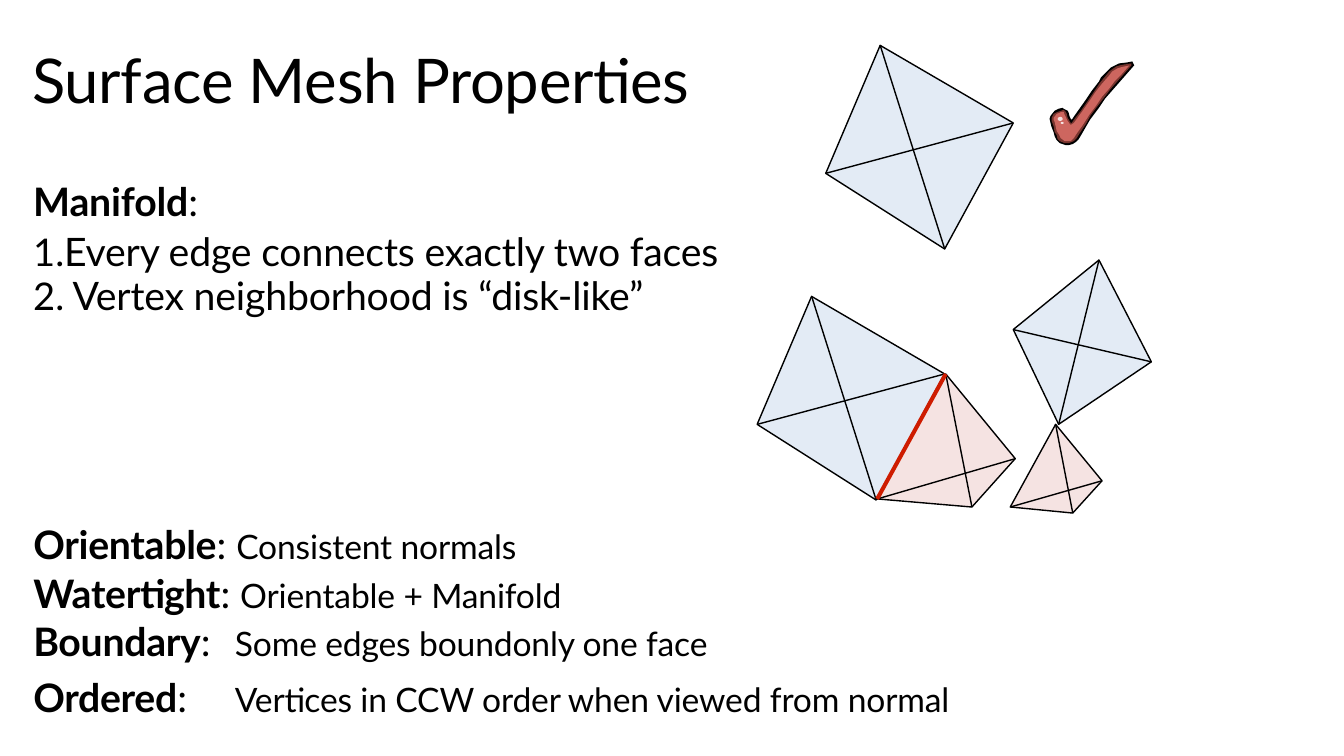
import pptx
import pptx.dml.color
import pptx.enum.shapes
import pptx.enum.text
import pptx.oxml.ns
import pptx.util
from lxml import etree

PX = 9144  # EMU, one hundred px to the inch
FONT = "Lato"
BLACK, BLUE, PINK, RED = "000000", "E3EBF5", "F5E3E2", "CE1C00"
BROWN, CORAL = "77342E", "CD665F"

# Corners run left, top, right, bottom.
WIDE_QUAD = [(0, 127), (54, 0), (186, 77), (118, 202)]
TURNED_QUAD = [(0, 69), (85, 0), (137, 101), (45, 163)]
KITE = [(0, 124), (68, 0), (137, 84), (94, 132)]
MESHES = [
    ((751, 294, 186), WIDE_QUAD, BLUE),
    ((819, 45, 186), WIDE_QUAD, BLUE),
    ((870, 371, 137), KITE, PINK),
    ((1005, 258, 137), TURNED_QUAD, BLUE),
    ((1002, 421, 91), KITE, PINK),
]
SHARED_EDGE = ((938, 371), (870, 495))

CHECK_RIM = [
    (13, 46), (9, 47), (5, 49), (1, 54), (0, 57), (1, 61), (2, 65), (4, 70), (5, 74),
    (7, 78), (10, 81), (13, 82), (16, 83), (19, 83), (23, 82), (26, 80), (29, 77),
    (32, 72), (36, 65), (40, 58), (43, 54), (49, 46), (55, 37), (62, 29), (69, 21),
    (76, 13), (83, 5), (84, 4), (82, 0), (77, 1), (69, 2), (65, 4), (61, 6), (58, 9),
    (54, 13), (51, 16), (49, 20), (42, 29), (36, 38), (24, 55), (22, 58), (21, 57),
    (20, 55), (19, 51), (18, 49), (14, 47)]
CHECK_SHADE = [
    (14, 48), (11, 49), (8, 50), (4, 52), (2, 56), (2, 59), (4, 64), (5, 70), (7, 73),
    (8, 77), (10, 79), (15, 81), (19, 81), (24, 79), (27, 76), (30, 71), (36, 62),
    (41, 53), (47, 45), (54, 36), (60, 28), (67, 20), (74, 12), (81, 4), (81, 2),
    (74, 3), (69, 4), (66, 5), (59, 10), (55, 15), (50, 21), (44, 30), (38, 39),
    (31, 49), (27, 54), (24, 58), (22, 61), (21, 61), (18, 56), (17, 52), (16, 50)]
CHECK_BODY = [
    (14, 50), (12, 50), (7, 52), (4, 56), (4, 58), (5, 60), (6, 64), (7, 69), (9, 72),
    (11, 76), (15, 79), (21, 79), (24, 76), (28, 70), (33, 63), (40, 52), (46, 44),
    (52, 35), (59, 27), (65, 19), (72, 12), (79, 4), (74, 5), (70, 6), (67, 7),
    (62, 10), (59, 14), (52, 22), (45, 31), (39, 40), (32, 50), (29, 54), (27, 57),
    (24, 61), (21, 63), (20, 62), (18, 59), (15, 53)]
CHECK_GLINTS = [(8, 55, 5, 4), (11, 60, 3, 2)]


def px(*lengths):
    return [round(length * PX) for length in lengths]


def color(hex_string):
    return pptx.dml.color.RGBColor.from_string(hex_string)


def paint(shape, fill, outlined=False):
    shape.shadow.inherit = False
    shape.fill.solid()
    shape.fill.fore_color.rgb = color(fill)
    if outlined:
        shape.line.color.rgb = color(BLACK)
        shape.line.width = pptx.util.Pt(1)
    else:
        shape.line.fill.background()


def add_outline(slide, points, fill, outlined=False):
    builder = slide.shapes.build_freeform(*points[0], scale=PX)
    builder.add_line_segments(points[1:], close=True)
    paint(builder.convert_to_shape(), fill, outlined)


def add_edge(slide, start, end, stroke=BLACK, width=1):
    edge = slide.shapes.add_connector(
        pptx.enum.shapes.MSO_CONNECTOR.STRAIGHT, *px(*start, *end))
    edge.line.color.rgb = color(stroke)
    edge.line.width = pptx.util.Pt(width)
    etree.SubElement(edge._element.spPr, pptx.oxml.ns.qn("a:effectLst"))


def add_mesh(slide, box, corners, fill):
    """Draw a four-cornered patch with both diagonals, scaled to the box width."""
    x, y, width = box
    scale = width / corners[2][0]
    points = [(round(x + dx * scale), round(y + dy * scale)) for dx, dy in corners]
    left, top, right, bottom = points
    add_outline(slide, points, fill, outlined=True)
    add_edge(slide, bottom, top)
    add_edge(slide, right, left)


def add_check(slide, x, y):
    for points, fill in ((CHECK_RIM, BLACK), (CHECK_SHADE, BROWN), (CHECK_BODY, CORAL)):
        add_outline(slide, [(x + dx, y + dy) for dx, dy in points], fill)
    for dx, dy, width, height in CHECK_GLINTS:
        glint = slide.shapes.add_shape(
            pptx.enum.shapes.MSO_SHAPE.OVAL, *px(x + dx, y + dy, width, height))
        paint(glint, PINK)


def add_span(para, text, size, bold=False, tracking=-10):
    span = para.add_run()
    span.text = text
    span.font.name = FONT
    span.font.size = pptx.util.Pt(size)
    span.font.bold = bold
    span.font.color.rgb = color(BLACK)
    span._r.get_or_add_rPr().set("spc", str(tracking))


def place_frame(shape, box):
    shape.left, shape.top, shape.width, shape.height = px(*box)
    frame = shape.text_frame
    frame.word_wrap = True
    frame.auto_size = pptx.enum.text.MSO_AUTO_SIZE.NONE
    frame.margin_left = frame.margin_right = frame.margin_bottom = 0
    frame.margin_top = PX
    return frame


def next_para(frame, spacing, before):
    """Return the empty first paragraph, or a new one with space before it."""
    para = frame.paragraphs[0]
    if para.runs:
        para = frame.add_paragraph()
        para.space_before = pptx.util.Pt(before)
    para.line_spacing = spacing
    para.alignment = pptx.enum.text.PP_ALIGN.LEFT
    return para


def format_para(para, margin=1, indent=0, numbered=False, tab=None):
    props = para._p.get_or_add_pPr()
    props.set("marL", str(margin * PX))
    props.set("indent", str(indent * PX))
    qn = pptx.oxml.ns.qn
    if numbered:
        etree.SubElement(props, qn("a:buSzPct"), val="97000")
        etree.SubElement(props, qn("a:buFont"), typeface=FONT)
        etree.SubElement(props, qn("a:buAutoNum"), type="arabicPeriod")
    if tab:
        stops = etree.SubElement(props, qn("a:tabLst"))
        etree.SubElement(stops, qn("a:tab"), pos=str(tab * PX), algn="l")


def add_title(slide, box):
    frame = place_frame(slide.shapes.title, box)
    frame.vertical_anchor = pptx.enum.text.MSO_ANCHOR.MIDDLE
    para = next_para(frame, 1.0, 0)
    add_span(para, "Surface Mesh Properties", 44, tracking=-20)


def add_manifold(slide, box):
    frame = place_frame(slide.shapes.add_textbox(0, 0, 0, 0), box)
    para = next_para(frame, pptx.util.Pt(33.5), 0)
    format_para(para)
    add_span(para, "Manifold", 28, bold=True)
    add_span(para, ":", 28)
    rules = [
        ("Every edge connects exactly two faces", 33.5, 2.2, 1, 0),
        ("Vertex neighborhood is “disk-like”", 31.6, 0, 40, -39),
    ]
    for text, spacing, before, margin, indent in rules:
        para = next_para(frame, pptx.util.Pt(spacing), before)
        format_para(para, margin, indent, numbered=True)
        add_span(para, text, 28)


def add_definitions(slide, box):
    frame = place_frame(slide.shapes.add_textbox(0, 0, 0, 0), box)
    definitions = [
        ("Orientable", "Consistent normals", 1.01, 0.6, None),
        ("Watertight", "Orientable + Manifold", 1.01, 0.6, None),
        ("Boundary", "Some edges boundonly one face", pptx.util.Pt(33.5), 2.2, 213),
        ("Ordered", "Vertices in CCW order when viewed from normal", 1.01, 0.6, 227),
    ]
    for term, meaning, spacing, before, tab in definitions:
        para = next_para(frame, spacing, before)
        format_para(para, tab=tab)
        add_span(para, term, 28, bold=True, tracking=-20)
        add_span(para, ":" if tab else ": ", 28)
        if tab:
            add_span(para, "\t", 32)
        add_span(para, meaning, 24)


def main():
    deck = pptx.Presentation()
    deck.slide_width, deck.slide_height = px(1333, 750)
    slide = deck.slides.add_slide(deck.slide_layouts.get_by_name("Title Only"))
    add_title(slide, (32, 40, 719, 75))
    add_manifold(slide, (32, 175, 1060, 144))
    add_definitions(slide, (32, 515, 1005, 253))
    for box, corners, fill in MESHES:
        add_mesh(slide, box, corners, fill)
    add_edge(slide, *SHARED_EDGE, stroke=RED, width=2.9)
    add_check(slide, 1041, 61)
    deck.save("out.pptx")


if __name__ == "__main__":
    main()
